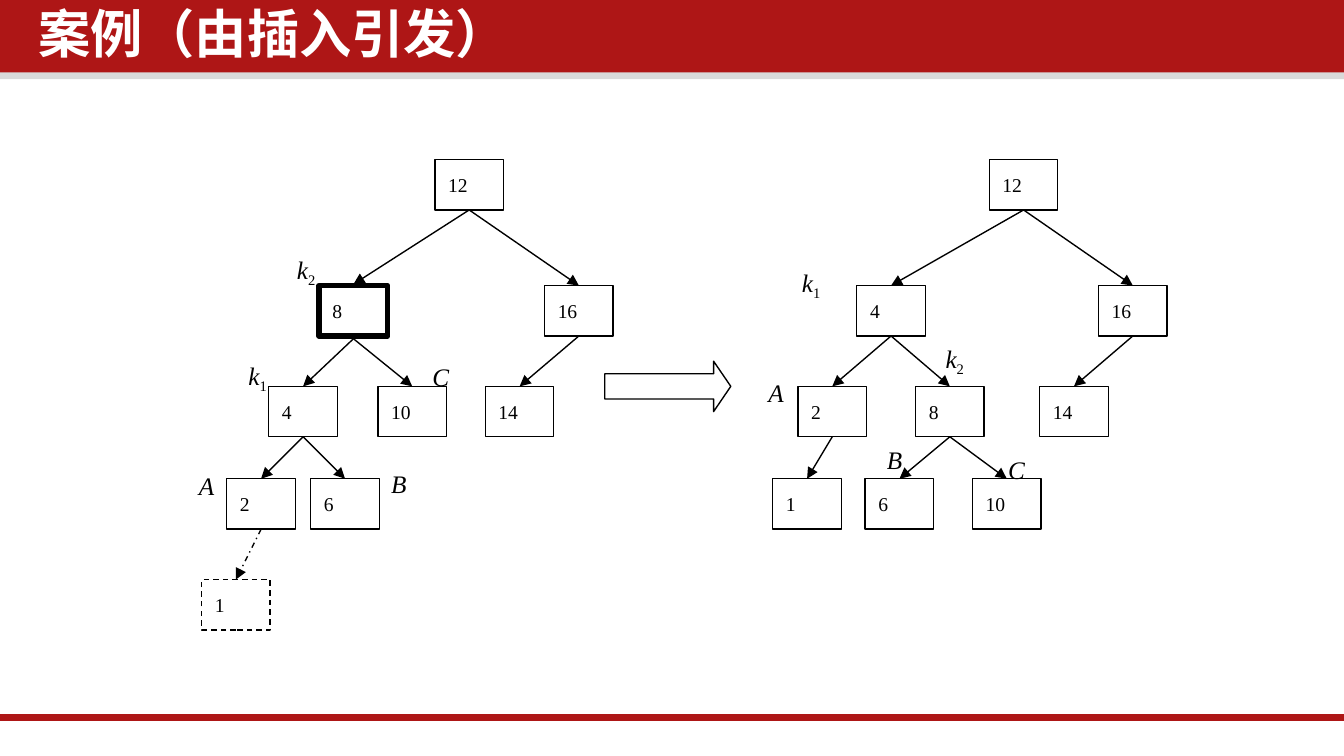
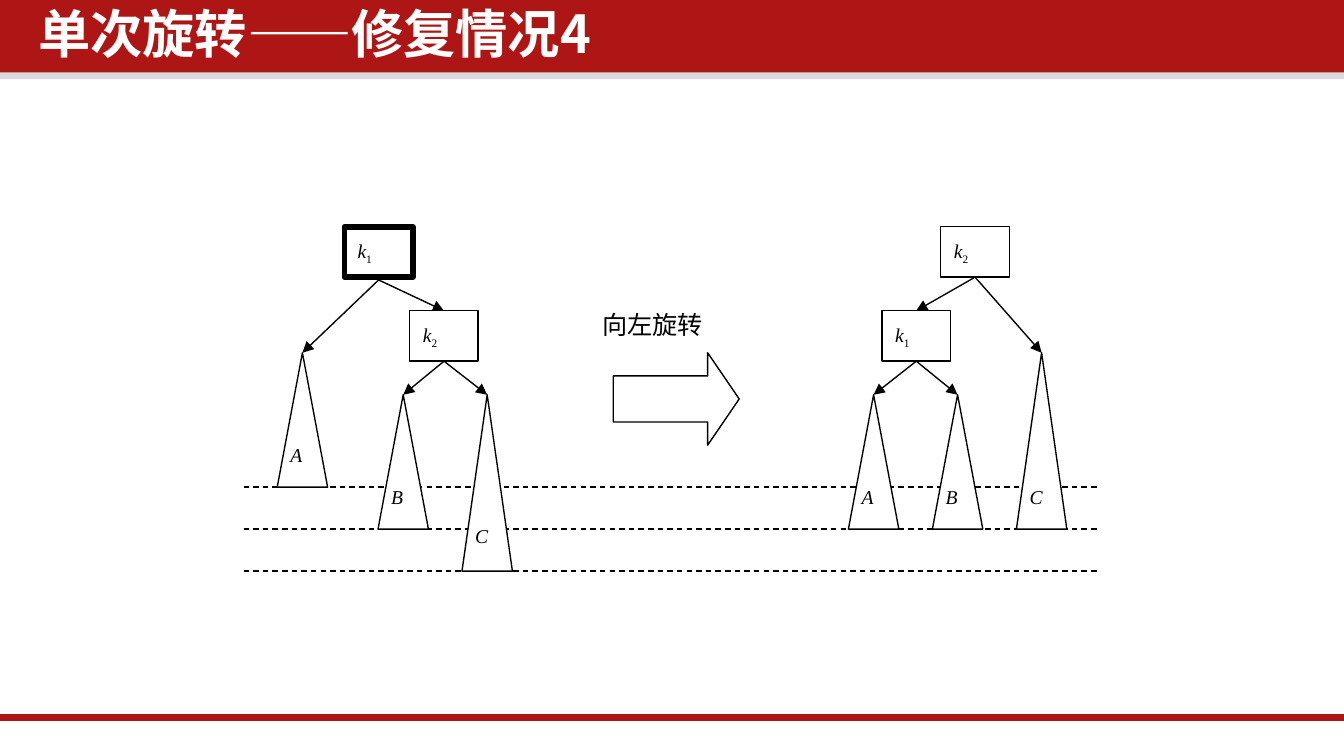
from lxml.etree import SubElement
from pptx import Presentation
from pptx.dml.color import RGBColor
from pptx.enum.dml import MSO_LINE_DASH_STYLE as DASH
from pptx.enum.shapes import MSO_CONNECTOR, MSO_SHAPE as SHAPE
from pptx.enum.text import MSO_ANCHOR, MSO_AUTO_SIZE, PP_ALIGN
from pptx.oxml.ns import qn
from pptx.util import Pt

RED = RGBColor(0xAE, 0x16, 0x16)
GRAY = RGBColor(0xD9, 0xD9, 0xD9)
BLACK = RGBColor(0, 0, 0)
WHITE = RGBColor(0xFF, 0xFF, 0xFF)

SERIF, CJK = "Times New Roman", "Noto Sans CJK SC"
THIN, HEAVY = 0.75, 3
SMALL, MEDIUM = 10.5, 13.5
BOX_W, BOX_H = 36.75, 27
HALF_BASE = 13.5  # half the base of a subtree triangle
LEVELS = [85.5, 153, 207, 256.5, 310.5]  # top of each tree level
GLYPH_W = {"A": 0.61, "B": 0.61, "C": 0.67, "k": 0.75}  # label width in ems


class Deck:
    """Holds the shared style and the slide being drawn."""

    def __init__(self):
        self.prs = Presentation()
        self.prs.slide_width, self.prs.slide_height = Pt(720), Pt(405)

    def new_slide(self, title):
        self.s = self.prs.slides.add_slide(self.prs.slide_layouts[6])
        self.shape(SHAPE.RECTANGLE, 0, 36, 720, 6.4, fill=GRAY)
        self.shape(SHAPE.RECTANGLE, 0, 0, 720, 38.75, fill=RED)
        self.line((0, 384.5), (720, 384.5), color=RED, width=4)
        tf = self.text_frame(15.5, 1.5, 550, 42.5)
        margins = {"margin_left": 5, "margin_right": 5,
                   "margin_top": 2.75, "margin_bottom": 2.75}
        for name, value in margins.items():
            setattr(tf, name, Pt(value))
        p = tf.paragraphs[0]
        p.line_spacing, p.space_before = 0.9, Pt(7.5)
        self.run(p, title, name=CJK, size=Pt(28), bold=True, color=WHITE)

    # Text
    def text_frame(self, x, y, w, h, wrap=True):
        sp = self.s.shapes.add_textbox(Pt(x), Pt(y), Pt(w), Pt(h))
        sp.text_frame.word_wrap = wrap
        return sp.text_frame

    def run(self, p, text, color=BLACK, baseline=None, **fmt):
        r = p.add_run()
        r.text = text
        for name, value in {"name": SERIF, "size": Pt(SMALL), **fmt}.items():
            setattr(r.font, name, value)
        r.font.color.rgb = color
        rPr = r._r.get_or_add_rPr()
        SubElement(rPr, qn("a:ea")).set("typeface", CJK)
        if baseline:
            rPr.set("baseline", str(baseline))

    def symbol(self, p, text, size=SMALL):
        """Write a number upright, or an italic letter with its subscript."""
        if text.isdigit():
            self.run(p, text, size=Pt(size))
            return
        self.run(p, text[0], size=Pt(size), italic=True)
        if text[1:]:
            self.run(p, text[1:], size=Pt(size), baseline=-25000)

    def label(self, text, x, y, size=MEDIUM):
        w = 14.4 + size * GLYPH_W[text[0]]
        tf = self.text_frame(x, y, w, 1.2 * size + 7.2, wrap=False)
        tf.auto_size = MSO_AUTO_SIZE.SHAPE_TO_FIT_TEXT
        self.symbol(tf.paragraphs[0], text, size)

    def caption(self, text, x, y, w, h):
        tf = self.text_frame(x, y, w, h)
        tf.auto_size = MSO_AUTO_SIZE.SHAPE_TO_FIT_TEXT
        self.run(tf.paragraphs[0], text, size=Pt(MEDIUM))

    # Shapes
    def paint(self, sp, fill=None, width=None, dash=None):
        sp.shadow.inherit = False
        if fill is None:
            sp.fill.background()
        else:
            sp.fill.solid()
            sp.fill.fore_color.rgb = fill
        if width is None:
            sp.line.fill.background()
        else:
            self.stroke(sp.line, BLACK, width, dash)

    def stroke(self, ln, color, width, dash):
        ln.color.rgb = color
        ln.width = Pt(width)
        if dash:
            ln.dash_style = dash

    def shape(self, kind, x, y, w, h, **look):
        sp = self.s.shapes.add_shape(kind, Pt(x), Pt(y), Pt(w), Pt(h))
        self.paint(sp, **look)
        return sp

    def box(self, text, x, y, width=THIN, dash=None):
        """Draw a node; return its top and bottom link points."""
        sp = self.shape(SHAPE.RECTANGLE, x, y, BOX_W, BOX_H,
                        width=width, dash=dash)
        tf = sp.text_frame
        tf.word_wrap, tf.vertical_anchor = False, MSO_ANCHOR.MIDDLE
        p = tf.paragraphs[0]
        p.alignment = PP_ALIGN.LEFT
        self.symbol(p, text)
        cx, edge = x + BOX_W / 2, 1.5 if width == HEAVY else 0
        return (cx, y - edge / 2), (cx, y + BOX_H + edge)

    def triangle(self, x, top, base):
        """Draw a subtree; return its apex."""
        corners = [(x + HALF_BASE, base), (x, top)]
        fb = self.s.shapes.build_freeform(Pt(x - HALF_BASE), Pt(base))
        fb.add_line_segments([(Pt(a), Pt(b)) for a, b in corners], close=True)
        self.paint(fb.convert_to_shape(), fill=WHITE, width=THIN)
        return x, top

    def block_arrow(self, x, y, w, h):
        sp = self.shape(SHAPE.RIGHT_ARROW, x, y, w, h, fill=WHITE, width=THIN)
        sp.adjustments[0], sp.adjustments[1] = 0.5, 0.341

    def line(self, start, end, color=BLACK, width=THIN, dash=None, arrow=False):
        ends = [Pt(v) for v in (*start, *end)]
        cn = self.s.shapes.add_connector(MSO_CONNECTOR.STRAIGHT, *ends)
        self.stroke(cn.line, color, width, dash)
        if arrow:
            tail = SubElement(cn.line._get_or_add_ln(), qn("a:tailEnd"))
            tail.set("type", "triangle")
        SubElement(cn._element.spPr, qn("a:effectLst"))

    def tree(self, nodes, children, looks=None, edge_dash=None):
        """Draw boxes given as {text: (left, level)} and link them."""
        looks, edge_dash = looks or {}, edge_dash or {}
        links = {text: self.box(text, x, LEVELS[level], **looks.get(text, {}))
                 for text, (x, level) in nodes.items()}
        for parent, kids in children.items():
            for kid in kids:
                self.line(links[parent][1], links[kid][0], arrow=True,
                          dash=edge_dash.get(kid))


def insertion_slide(d):
    d.new_slide("案例（由插入引发）")

    # Tree before the rotation
    d.tree({"12": (233, 0), "8": (171, 1), "16": (291.75, 1),
            "14": (260, 2), "10": (202.5, 2), "4": (144, 2),
            "6": (166.5, 3), "2": (121.5, 3), "1": (108, 4)},
           {"12": ("8", "16"), "16": ("14",), "8": ("10", "4"),
            "4": ("6", "2"), "2": ("1",)},
           looks={"8": {"width": HEAVY}, "1": {"dash": DASH.DASH}},
           edge_dash={"1": DASH.DASH_DOT})

    d.block_arrow(324, 193.5, 67.5, 27)

    # Tree after the rotation
    d.tree({"12": (530, 0), "8": (490.5, 2), "16": (588.5, 1),
            "14": (557, 2), "10": (521, 3), "4": (459, 1),
            "6": (463.5, 3), "2": (427.5, 2), "1": (414, 3)},
           {"12": ("4", "16"), "16": ("14",), "4": ("2", "8"),
            "2": ("1",), "8": ("6", "10")})

    # Node and subtree names, left then right
    for text, x, y in [
            ("k2", 152, 132.5), ("k1", 126, 189.5), ("C", 224.5, 190),
            ("A", 99.5, 248.5), ("B", 202.5, 247.5),
            ("k2", 499.5, 180.5), ("k1", 422.5, 139.5), ("C", 533, 240),
            ("A", 404.5, 198.5), ("B", 468, 234.5)]:
        d.label(text, x, y)


def rotation_slide(d):
    d.new_slide("单次旋转——修复情况4")

    # Depth lines
    depths = [261, 283.5, 306]
    for y in depths:
        d.line((130.5, y), (589.5, y), dash=DASH.DASH)

    def rotated(root, child, subtrees, child_kids):
        """Two boxes over three subtrees (name, x, top, base, label top)."""
        _, root_foot = d.box(*root)
        child_head, child_foot = d.box(*child)
        d.line(root_foot, child_head, arrow=True)
        for name, x, top, base, label_y in subtrees:
            apex = d.triangle(x, top, base)
            foot = child_foot if name in child_kids else root_foot
            d.line(foot, apex, arrow=True)
            d.label(name, x - HALF_BASE, label_y, SMALL)

    high, low = 189, 211.5
    shallow, middle, deep = depths
    rotated(("k1", 184.5, 121.5, HEAVY), ("k2", 219.5, 166.5),
            [("A", 162, high, shallow, 234), ("B", 216, low, middle, 256.5),
             ("C", 261, low, deep, 277)], "BC")
    rotated(("k2", 504, 121.5), ("k1", 472.5, 166.5),
            [("A", 468, low, middle, 256.5), ("B", 513, low, middle, 256.5),
             ("C", 558, high, middle, 256.5)], "AB")

    # Direction of the rotation
    d.block_arrow(328.5, 189, 67.5, 49.5)
    d.caption("向左旋转", 315.5, 162, 90, 24)


def main():
    d = Deck()
    insertion_slide(d)
    rotation_slide(d)
    d.prs.save("out.pptx")


if __name__ == "__main__":
    main()
